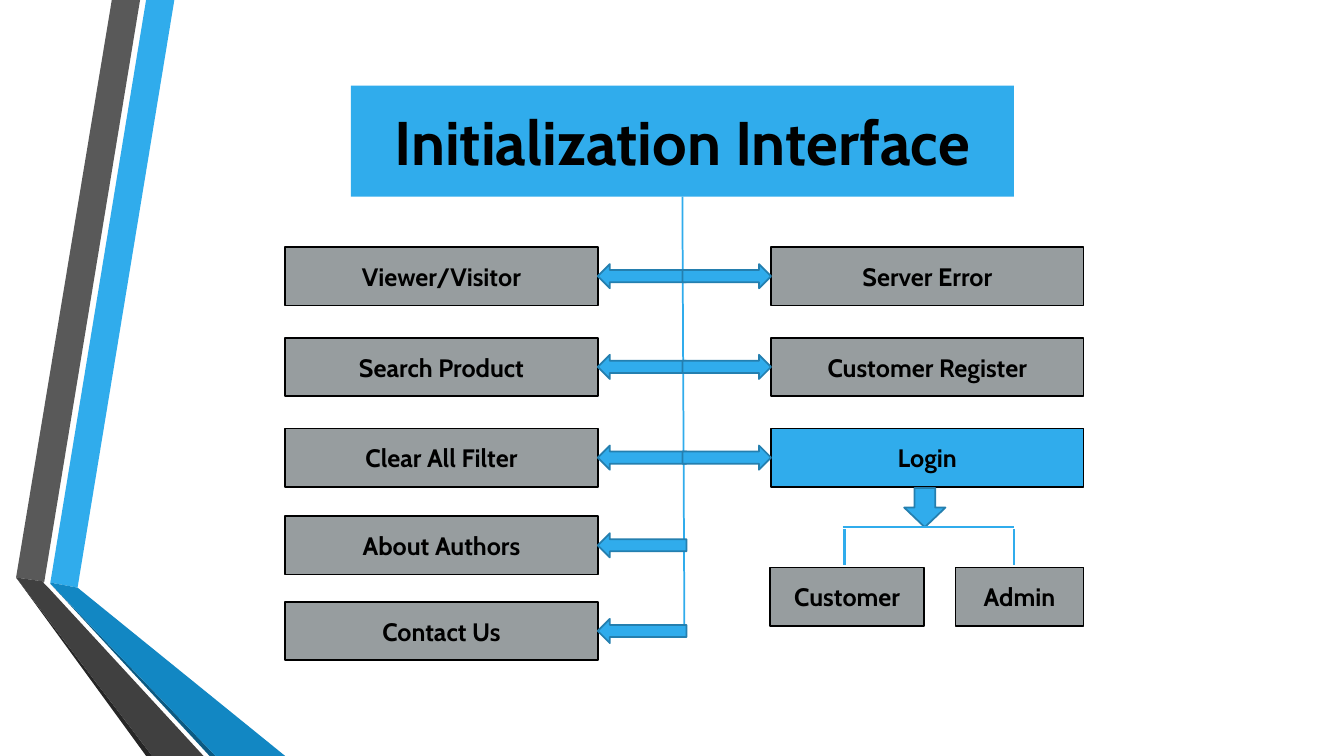
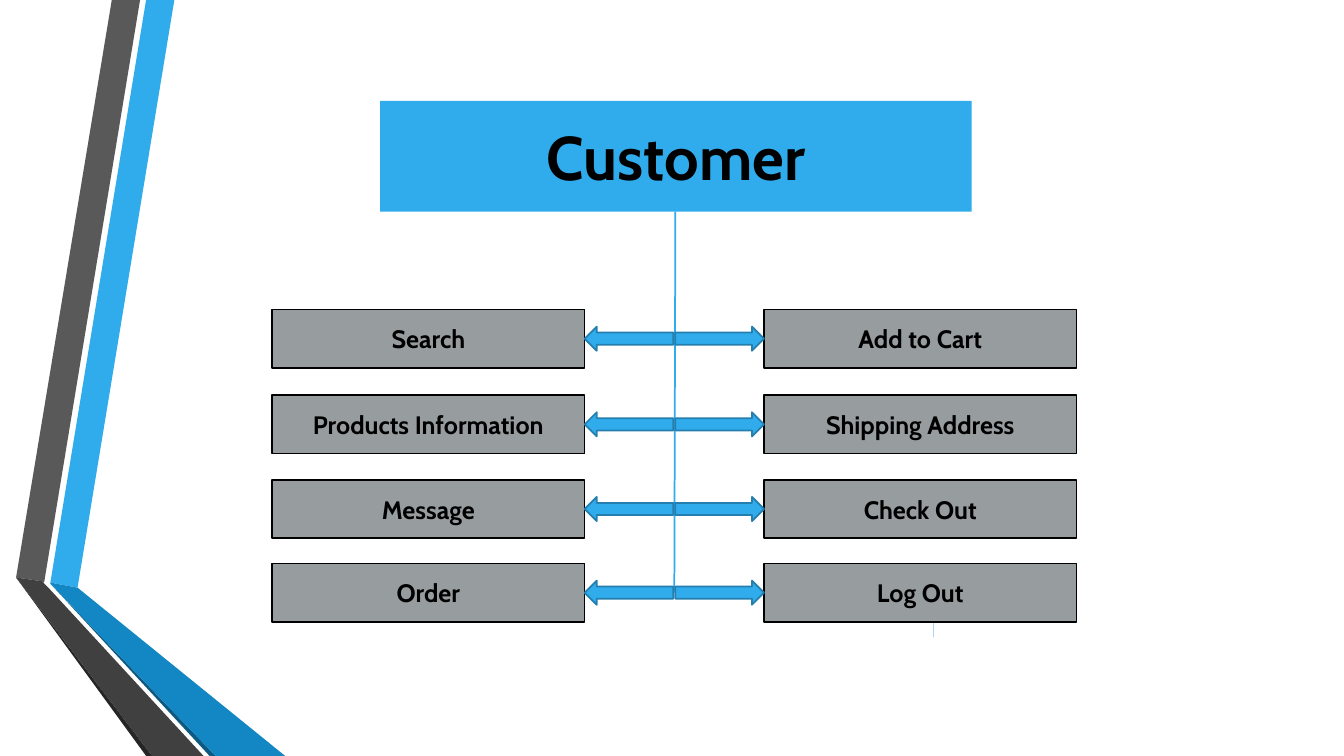
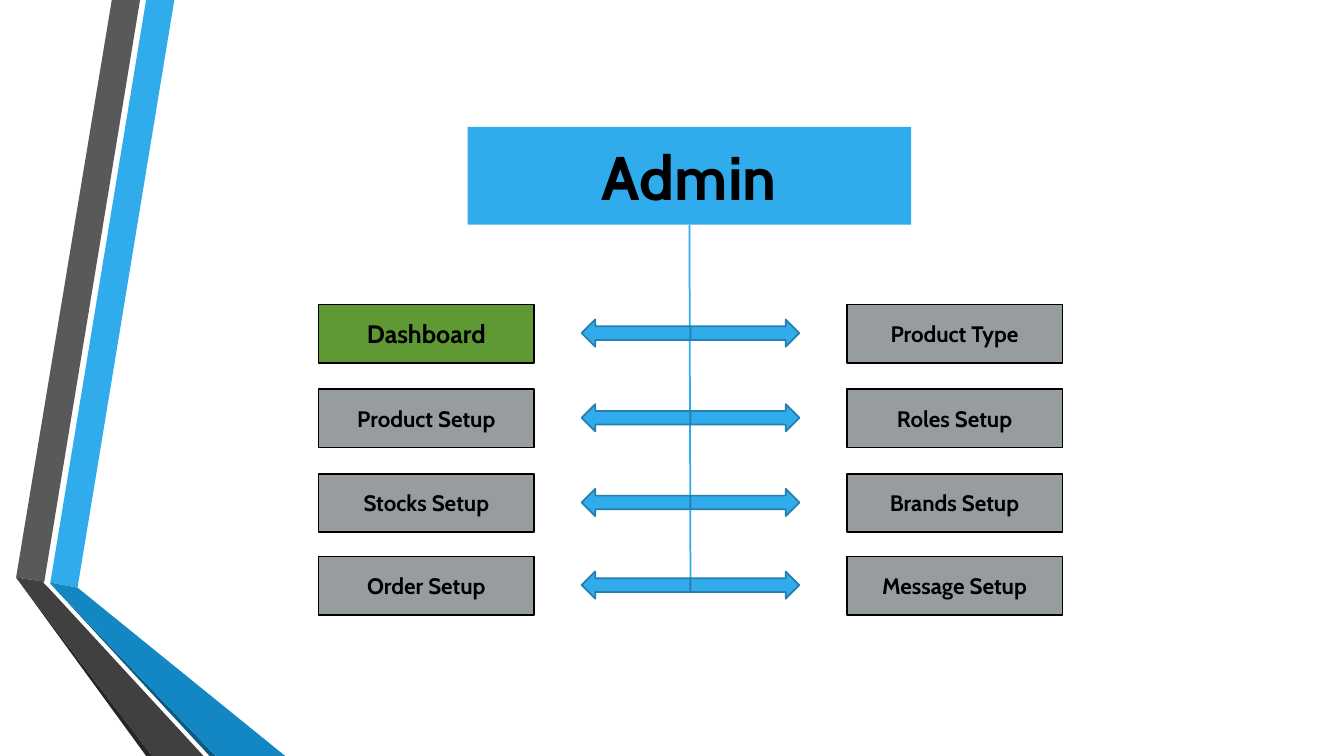
from collections import namedtuple

from lxml.etree import SubElement
from pptx import Presentation
from pptx.dml.color import RGBColor
from pptx.enum.shapes import MSO_CONNECTOR, MSO_SHAPE
from pptx.enum.text import MSO_ANCHOR, MSO_AUTO_SIZE, PP_ALIGN
from pptx.oxml.ns import qn
from pptx.util import Pt

PX = 9144  # EMU in one px, 100 px to the inch
FONT = "Cabin"
BLACK, GRAY, GREEN = "000000", "979D9F", "5F9934"
BLUE, DARK_BLUE, PALE_BLUE = "30ACEC", "247FAF", "AED2F4"
NODE_HEIGHT = 58
TITLE_ONLY = 5

# Ribbon folded along the left edge, from back to front
RIBBON = [
    (BLUE, [(50, 578), (77, 583), (173, 0), (145, 0)]),
    ("595959", [(139, 0), (111, 0), (16, 573), (44, 577)]),
    ("262626", [(16, 573), (145, 750), (151, 750)]),
    ("0C5A82", [(50, 579), (208, 750), (214, 750)]),
    ("1287C3", [(50, 579), (214, 750), (283, 750), (77, 583), (50, 578)]),
    ("404040", [(202, 750), (48, 583), (43, 578), (44, 577), (16, 573), (151, 750)]),
]

Box = namedtuple("Box", "left top width height")


def color(value):
    return RGBColor.from_string(value)


def paint(shape, fill, line=None):
    shape.shadow.inherit = False
    shape.fill.solid()
    shape.fill.fore_color.rgb = color(fill)
    if line:
        shape.line.color.rgb = color(line)
        shape.line.width = Pt(1.25)
    else:
        shape.line.fill.background()


def write(shape, text, size):
    frame = shape.text_frame
    frame.text = text
    frame.word_wrap = True
    frame.auto_size = MSO_AUTO_SIZE.NONE
    frame.vertical_anchor = MSO_ANCHOR.MIDDLE
    para = frame.paragraphs[0]
    para.alignment = PP_ALIGN.CENTER
    para.font.name = FONT
    para.font.size = Pt(size)
    para.font.bold = True
    para.font.color.rgb = color(BLACK)


def add_block(page, kind, box, fill, line):
    shape = page.shapes.add_shape(kind, *(PX * length for length in box))
    paint(shape, fill, line)
    return shape


def add_node(page, box, text, size=18, fill=GRAY):
    node = add_block(page, MSO_SHAPE.FLOWCHART_PROCESS, box, fill, BLACK)
    write(node, text, size)


def add_arrow(page, kind, box):
    add_block(page, kind, box, BLUE, DARK_BLUE)


def add_line(page, start, end, width=1.25, line=BLUE):
    points = (PX * length for length in (*start, *end))
    connector = page.shapes.add_connector(MSO_CONNECTOR.STRAIGHT, *points)
    connector.line.color.rgb = color(line)
    connector.line.width = Pt(width)
    SubElement(connector.element.spPr, qn("a:effectLst"))


def add_ribbon(page, master):
    """Draws the ribbon on the page and hands it over to the master."""
    for index, (fill, points) in enumerate(RIBBON):
        builder = page.shapes.build_freeform(*points[0], scale=PX)
        builder.add_line_segments(points[1:], close=True)
        fold = builder.convert_to_shape()
        paint(fold, fill)
        fold.element.nvSpPr.cNvPr.id = 101 + index
        master.shapes.element.insert(2 + index, fold.element)


def add_title(page, box, text):
    title = page.shapes.title
    title.left, title.top, title.width, title.height = (PX * length for length in box)
    paint(title, BLUE)
    write(title, text, 44)


def add_branches(page, title, box, node_width, tops, columns,
                 arrow=(88, 24), gap=0, size=18, highlights=None):
    """Two columns of nodes that arrows join to a spine under the title."""
    highlights = highlights or {}
    arrow_width, arrow_height = arrow
    right = box.left + box.width - node_width
    sides = [
        (box.left, box.left + node_width + gap, MSO_SHAPE.LEFT_ARROW),
        (right, right - gap - arrow_width, MSO_SHAPE.RIGHT_ARROW),
    ]
    # Spine
    add_line(page, (title.left + title.width // 2, title.top + title.height),
             (box.left + box.width // 2, box.top + tops[-1] + NODE_HEIGHT // 2))
    # Nodes and their arrows
    for (node_left, arrow_left, kind), names in zip(sides, columns):
        for offset, name in zip(tops, names):
            top = box.top + offset
            add_node(page, Box(node_left, top, node_width, NODE_HEIGHT), name,
                     18 if name in highlights else size, highlights.get(name, GRAY))
            arrow_top = top + (NODE_HEIGHT - arrow_height) // 2
            add_arrow(page, kind, Box(arrow_left, arrow_top, arrow_width, arrow_height))


def add_login_fork(page, box):
    """The two kinds of user under the Login node."""
    bar = box.top + 40
    nodes_top = box.top + box.height - NODE_HEIGHT
    add_arrow(page, MSO_SHAPE.DOWN_ARROW, Box(box.left + 133, box.top + 1, 41, 39))
    # Fork
    prongs = [box.left + 74, box.left + 242]
    for prong in prongs:
        add_line(page, (prong, bar + 2), (prong, nodes_top - 2), 1.75)
    add_line(page, (prongs[0] - 2, bar), (prongs[1], bar), 1.75)
    # Users
    for offset, width, name in [(0, 153, "Customer"), (184, 127, "Admin")]:
        add_node(page, Box(box.left + offset, nodes_top, width, NODE_HEIGHT), name)


def build_initialization(page):
    title = Box(348, 85, 658, 110)
    add_title(page, title, "Initialization Interface")
    add_branches(
        page, title, Box(283, 245, 792, 410), 310, (0, 90, 180, 267, 352),
        [("Viewer/Visitor", "Search Product", "Clear All Filter",
          "About Authors", "Contact Us"),
         ("Server Error", "Customer Register", "Login")],
        highlights={"Login": BLUE})
    add_login_fork(page, Box(764, 483, 311, 138))


def build_customer(page):
    title = Box(377, 100, 587, 110)
    add_title(page, title, "Customer")
    add_line(page, (926, 607), (926, 632), 0.75, PALE_BLUE)
    add_branches(
        page, title, Box(270, 307, 798, 310), 310, (0, 85, 169, 252),
        [("Search", "Products Information", "Message", "Order"),
         ("Add to Cart", "Shipping Address", "Check Out", "Log Out")])


def build_admin(page):
    title = Box(464, 126, 440, 97)
    add_title(page, title, "Admin")
    add_branches(
        page, title, Box(316, 302, 738, 308), 214, (0, 84, 168, 250),
        [("Dashboard", "Product Setup", "Stocks Setup", "Order Setup"),
         ("Product Type", "Roles Setup", "Brands Setup", "Message Setup")],
        arrow=(108, 27), gap=47, size=16, highlights={"Dashboard": GREEN})


def main():
    deck = Presentation()
    deck.slide_width, deck.slide_height = 12192000, 750 * PX
    layout = deck.slide_layouts[TITLE_ONLY]
    pages = [deck.slides.add_slide(layout) for _ in range(3)]
    add_ribbon(pages[0], deck.slide_master)
    for build, page in zip((build_initialization, build_customer, build_admin), pages):
        build(page)
    deck.save("out.pptx")


if __name__ == "__main__":
    main()
